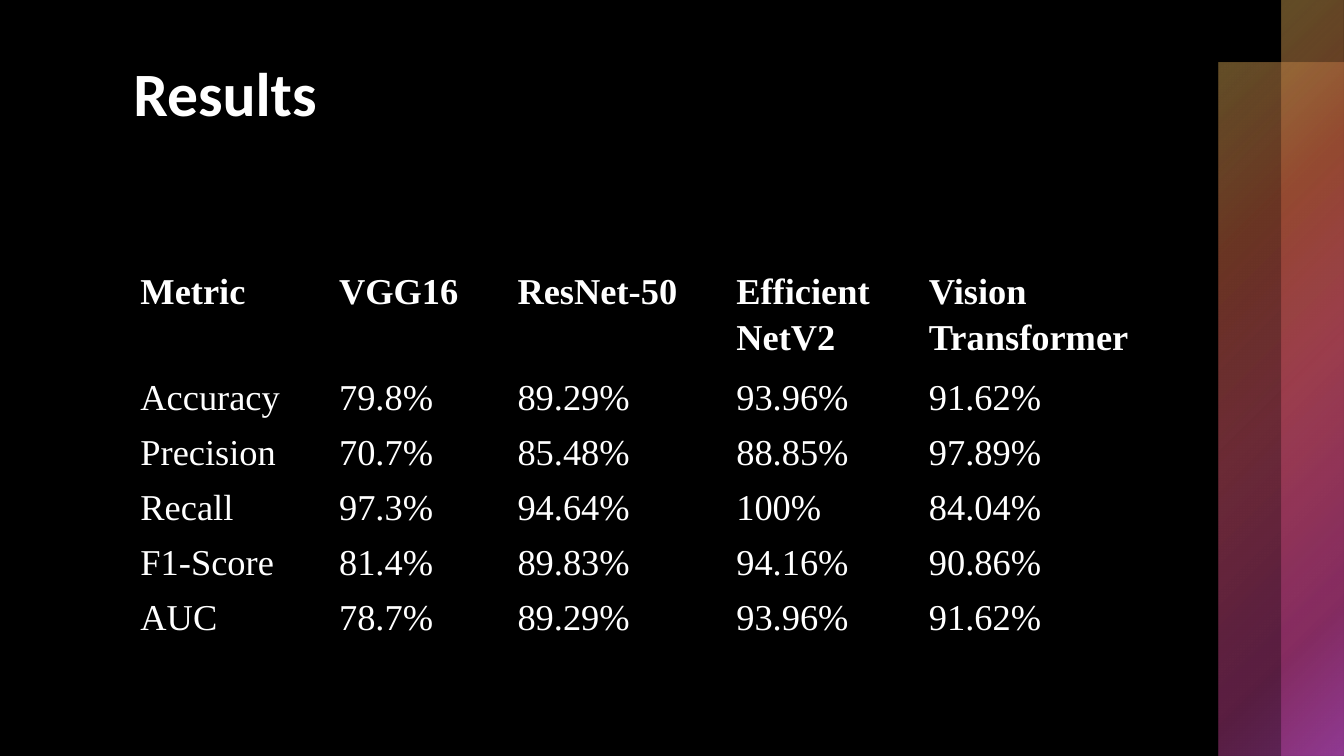
from dataclasses import dataclass

from pptx import Presentation, oxml, util as u
from pptx.dml.color import RGBColor
from pptx.enum import shapes, text
from pptx.oxml import ns

BLACK = RGBColor(0x00, 0x00, 0x00)
WHITE = RGBColor(0xFF, 0xFF, 0xFF)
GOLD = RGBColor(0xC3, 0x9A, 0x4D)
RUST = RGBColor(0xB1, 0x57, 0x3B)
ROSE = RGBColor(0xC3, 0x4D, 0x62)
MAGENTA = RGBColor(0xB1, 0x3B, 0x82)
VIOLET = RGBColor(0xC1, 0x4D, 0xC3)

WIDTH, HEIGHT = u.Inches(13.33), u.Inches(7.5)
COLS, ROWS = 64, 36


@dataclass(frozen=True)
class Box:
    """A rectangle measured in grid columns and rows."""
    col: float
    row: float
    cols: float
    rows: float

    def emu(self) -> tuple[int, int, int, int]:
        return across(self.col), down(self.row), across(self.cols), down(self.rows)


@dataclass(frozen=True)
class Stop:
    position: int
    color: RGBColor
    opacity: int


@dataclass(frozen=True)
class Panel:
    box: Box
    middle: int


@dataclass(frozen=True)
class Column:
    header: str
    cols: float
    values: tuple[str, ...]


BACKDROP = Box(0, 0, COLS, ROWS)
PANELS = (
    Panel(Box(58.04, 3, 5.96, 33), 50),
    Panel(Box(61.04, 0, 2.96, 36), 49),
)
TITLE = Box(5.87, 2.36, 49.78, 8.16)
TABLE_COL, TABLE_ROW = 5.92, 12.67
HEADER_ROWS, BODY_ROWS = 5.04, 2.62
COLUMNS = (
    Column("Metric", 9.46, ("Accuracy", "Precision", "Recall", "F1-Score", "AUC")),
    Column("VGG16", 8.5, ("79.8%", "70.7%", "97.3%", "81.4%", "78.7%")),
    Column("ResNet-50", 10.42, ("89.29%", "85.48%", "94.64%", "89.83%", "89.29%")),
    Column("Efficient NetV2", 9.17, ("93.96%", "88.85%", "100%", "94.16%", "93.96%")),
    Column("Vision Transformer", 12.48, ("91.62%", "97.89%", "84.04%", "90.86%", "91.62%")),
)


def across(cols: float) -> int:
    return round(WIDTH * cols / COLS)


def down(rows: float) -> int:
    return round(HEIGHT * rows / ROWS)


def format_run(r, font: str, size: int, bold: bool) -> None:
    r.font.name, r.font.size, r.font.bold = font, u.Pt(size), bold
    r.font.color.rgb = WHITE


def add_rectangle(s, box: Box):
    sp = s.shapes.add_shape(shapes.MSO_SHAPE.RECTANGLE, *box.emu())
    sp.shadow.inherit = False
    sp.line.fill.background()
    return sp


def add_backdrop(s) -> None:
    sp = add_rectangle(s, BACKDROP)
    sp.fill.solid()
    sp.fill.fore_color.rgb = BLACK


def add_panel(s, panel: Panel) -> None:
    """Draw a translucent panel whose gradient spreads from its top left corner."""
    sp = add_rectangle(s, panel.box)
    stops = (Stop(0, GOLD, 50), Stop(25, RUST, 60), Stop(panel.middle, ROSE, 55),
             Stop(81, MAGENTA, 50), Stop(99, VIOLET, 50))
    marks = "".join(
        f'<a:gs pos="{stop.position * 1000}"><a:srgbClr val="{stop.color}">'
        f'<a:alpha val="{stop.opacity * 1000}"/></a:srgbClr></a:gs>'
        for stop in stops)
    gradient = oxml.parse_xml(
        f'<a:gradFill {ns.nsdecls("a")} rotWithShape="1"><a:gsLst>{marks}</a:gsLst>'
        '<a:path path="circle"><a:fillToRect r="100000" b="100000"/></a:path>'
        '</a:gradFill>')
    sp._element.spPr.find(ns.qn("a:prstGeom")).addnext(gradient)


def add_title(s, wording: str) -> None:
    title = s.shapes.title
    title.left, title.top, title.width, title.height = TITLE.emu()
    tf = title.text_frame
    tf.text = wording
    tf.word_wrap = True
    tf.vertical_anchor = text.MSO_ANCHOR.TOP
    p = tf.paragraphs[0]
    p.alignment = text.PP_ALIGN.LEFT
    format_run(p.runs[0], "Calibri", 44, True)


def fill_cell(cell, wording: str, bold: bool) -> None:
    cell.margin_left = cell.margin_right = u.Inches(0.16)
    cell.margin_top = cell.margin_bottom = 0
    cell.vertical_anchor = text.MSO_ANCHOR.TOP
    cell.text_frame.text = wording
    p = cell.text_frame.paragraphs[0]
    p.alignment = text.PP_ALIGN.JUSTIFY
    p.line_spacing = 1.15
    format_run(p.runs[0], "Times New Roman", 26, bold)
    props = cell._tc.get_or_add_tcPr()
    for side in ("lnL", "lnR", "lnT", "lnB"):
        props.append(oxml.parse_xml(
            f'<a:{side} {ns.nsdecls("a")} w="{u.Pt(1)}"><a:solidFill>'
            f'<a:srgbClr val="{BLACK}"/></a:solidFill></a:{side}>'))
    cell.fill.background()


def add_results(s, columns: tuple[Column, ...]) -> None:
    heights = [HEADER_ROWS] + [BODY_ROWS] * len(columns[0].values)
    box = Box(TABLE_COL, TABLE_ROW, sum(c.cols for c in columns), sum(heights))
    table = s.shapes.add_table(len(heights), len(columns), *box.emu()).table
    table.first_row = table.horz_banding = False
    for row, height in zip(table.rows, heights):
        row.height = down(height)
    for i, column in enumerate(columns):
        table.columns[i].width = across(column.cols)
        for j, wording in enumerate((column.header, *column.values)):
            fill_cell(table.cell(j, i), wording, bold=j == 0)


def main() -> None:
    prs = Presentation()
    prs.slide_width, prs.slide_height = WIDTH, HEIGHT
    s = prs.slides.add_slide(prs.slide_layouts[5])
    s.background.fill.solid()
    s.background.fill.fore_color.rgb = BLACK
    add_backdrop(s)
    for panel in PANELS:
        add_panel(s, panel)
    add_title(s, "Results")
    # The title placeholder comes first in the layout, so lift it above the backdrop.
    s.shapes._spTree.append(s.shapes.title._element)
    add_results(s, COLUMNS)
    prs.save("out.pptx")


if __name__ == "__main__":
    main()
